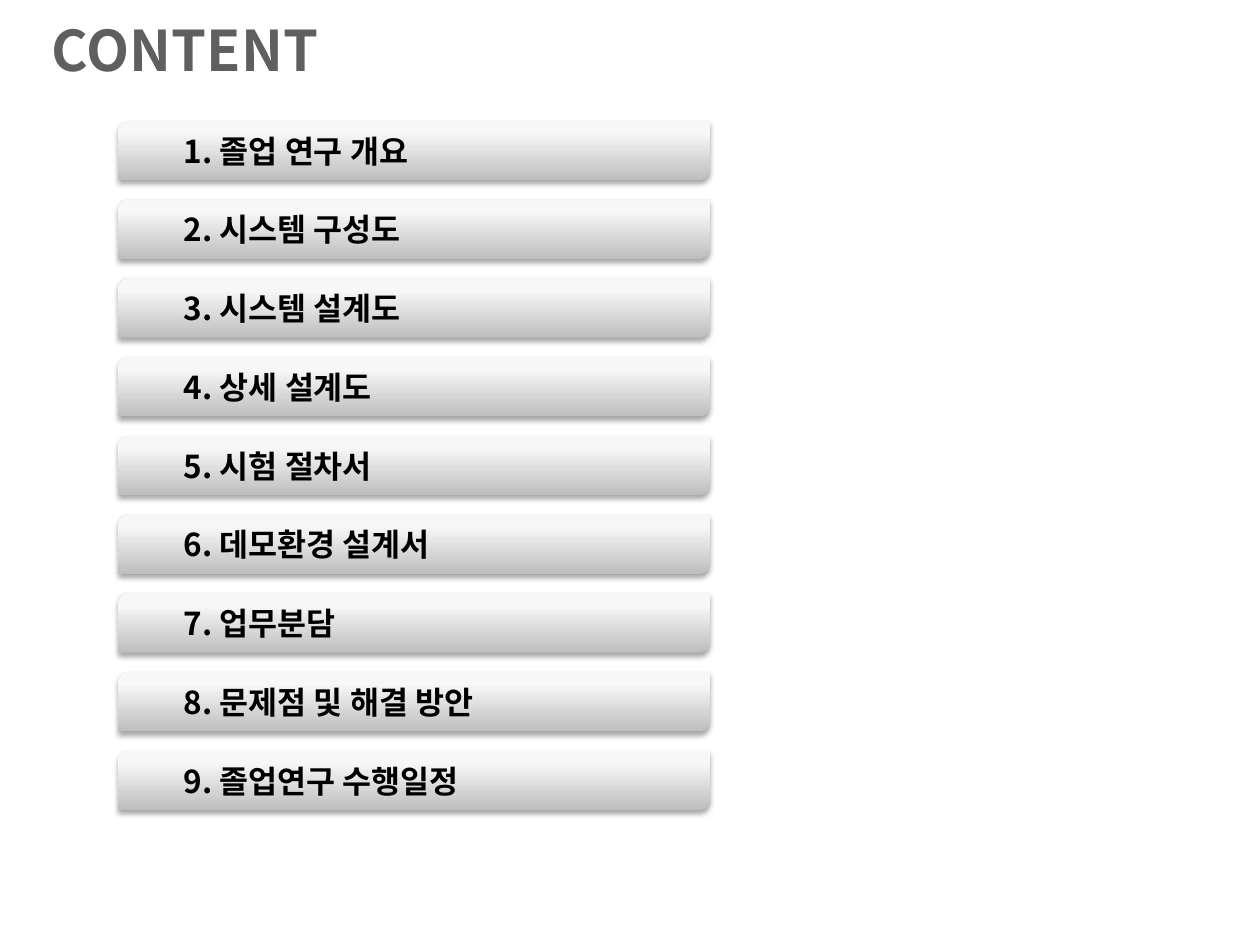
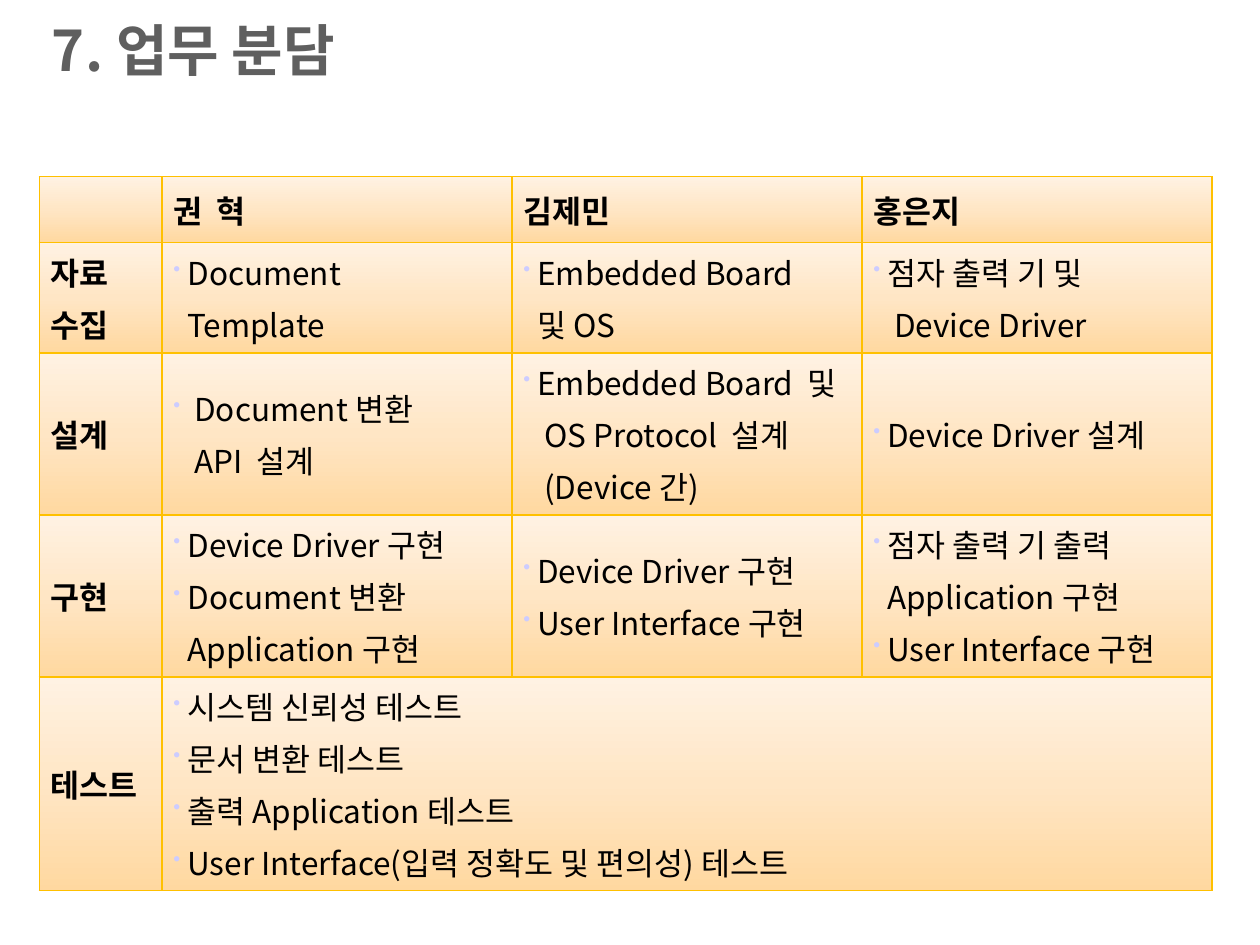
from collections import namedtuple

from lxml import etree
from pptx import Presentation
from pptx.dml.color import RGBColor
from pptx.enum.shapes import MSO_SHAPE
from pptx.enum.text import MSO_ANCHOR, MSO_AUTO_SIZE, PP_ALIGN
from pptx.oxml import parse_xml
from pptx.oxml.ns import nsdecls, qn
from pptx.util import Pt

BAR_SHAPE = MSO_SHAPE.ROUND_2_DIAG_RECTANGLE
MIDDLE = MSO_ANCHOR.MIDDLE
LEFT = PP_ALIGN.LEFT
NO_AUTOFIT = MSO_AUTO_SIZE.NONE

FONT = "Noto Sans CJK KR"
TITLE_GRAY = RGBColor(0x5F, 0x5F, 0x5F)
BLACK = RGBColor(0, 0, 0)
BORDER_GOLD = RGBColor(0xFF, 0xC0, 0x00)
BULLET_LILAC = RGBColor(0xCC, 0xCC, 0xFF)
BAR_STOPS = [(0, RGBColor(0xBE, 0xBE, 0xBE)), (80, RGBColor(0xF7, 0xF7, 0xF7)),
             (100, RGBColor(0xF8, 0xF8, 0xF8))]
CELL_STOPS = [(0, RGBColor(0xFF, 0xD8, 0xA0)), (50, RGBColor(0xFF, 0xE6, 0xC5)),
              (100, RGBColor(0xFF, 0xF2, 0xE3))]

TITLE_FORMAT = {"size": Pt(32), "bold": True, "name": FONT}
HEADING_FORMAT = {"size": Pt(18), "bold": True, "name": FONT}
TASK_FORMAT = {"size": Pt(18), "bold": False, "name": FONT}

TOPICS = ["졸업 연구 개요", "시스템 구성도", "시스템 설계도", "상세 설계도", "시험 절차서",
          "데모환경 설계서", "업무분담", "문제점 및 해결 방안", "졸업연구 수행일정"]
BAR_LEFT, BAR_TOP, BAR_WIDTH, BAR_HEIGHT, BAR_PITCH = 67.5, 69, 338, 34, 45

Line = namedtuple("Line", "text bullet indent form")


def heading(text):
    return Line(text, False, 0, HEADING_FORMAT)


def task(text, indent=8):
    return Line(text, True, indent, TASK_FORMAT)


def more(text, indent=8):
    """A further line of the task above it."""
    return Line(text, False, indent, TASK_FORMAT)


COLUMN_WIDTHS = [70, 200, 200, 200]
ROW_HEIGHTS = [37.7, 62.9, 92.6, 92.6, 121.8]
DUTIES = [
    [[], [heading("권  혁")], [heading("김제민")], [heading("홍은지")]],
    [[heading("자료"), heading("수집")],
     [task("Document"), more("Template")],
     [task("Embedded Board"), more("및 OS")],
     [task("점자 출력 기 및"), more("Device Driver", 12)]],
    [[heading("설계")],
     [task("Document 변환", 12), more("API  설계", 12)],
     [task("Embedded Board  및"), more("OS Protocol  설계", 12), more("(Device 간)", 12)],
     [task("Device Driver 설계")]],
    [[heading("구현")],
     [task("Device Driver 구현"), task("Document 변환"), more("Application 구현")],
     [task("Device Driver 구현"), task("User Interface 구현")],
     [task("점자 출력 기 출력"), more("Application 구현"), task("User Interface 구현")]],
    [[heading("테스트")],
     [task("시스템 신뢰성 테스트"), task("문서 변환 테스트"), task("출력 Application 테스트"),
      task("User Interface(입력 정확도 및 편의성) 테스트")]],
]


def set_values(target, values):
    for name, value in values.items():
        setattr(target, name, value)


def write(paragraph, text, form, color):
    run = paragraph.add_run()
    run.text = text
    set_values(run.font, form)
    run.font.color.rgb = color
    etree.SubElement(run.font._element, qn("a:ea"), typeface=FONT)


def upward_gradient(stops):
    stop_xml = "".join(f'<a:gs pos="{position * 1000}"><a:srgbClr val="{color}"/></a:gs>'
                       for position, color in stops)
    return parse_xml(f'<a:gradFill {nsdecls("a")} rotWithShape="1"><a:gsLst>{stop_xml}</a:gsLst>'
                     '<a:lin ang="16200000" scaled="0"/></a:gradFill>')


def add_titled_slide(deck, text):
    slide = deck.slides.add_slide(deck.slide_layouts[5])
    title = slide.shapes.title
    set_values(title, {"left": Pt(22.5), "top": Pt(0), "width": Pt(697.5), "height": Pt(56.5)})
    set_values(title.text_frame, {"vertical_anchor": MIDDLE, "word_wrap": True,
                                  "auto_size": NO_AUTOFIT})
    paragraph = title.text_frame.paragraphs[0]
    paragraph.alignment = LEFT
    write(paragraph, text, TITLE_FORMAT, TITLE_GRAY)
    return slide


def add_soft_shadow(shape):
    shape.shadow.inherit = False
    effects = shape._element.spPr.find(qn("a:effectLst"))
    effects.append(parse_xml(
        f'<a:outerShdw {nsdecls("a")} blurRad="{Pt(3.1)}" dist="{Pt(1.8)}" dir="5400000" '
        f'rotWithShape="0"><a:srgbClr val="{BLACK}"><a:alpha val="35000"/></a:srgbClr>'
        '</a:outerShdw>'))


def add_topic_bar(slide, top, text):
    bar = slide.shapes.add_shape(BAR_SHAPE, Pt(BAR_LEFT), Pt(top), Pt(BAR_WIDTH), Pt(BAR_HEIGHT))
    bar.line.fill.background()
    bar._element.spPr.find(qn("a:prstGeom")).addnext(upward_gradient(BAR_STOPS))
    add_soft_shadow(bar)
    set_values(bar.text_frame, {"vertical_anchor": MIDDLE, "word_wrap": True,
                                "margin_left": Pt(36)})
    paragraph = bar.text_frame.paragraphs[0]
    paragraph.alignment = LEFT
    write(paragraph, text, HEADING_FORMAT, BLACK)


def indent_line(paragraph, line):
    properties = paragraph._p.get_or_add_pPr()
    properties.set("marL", str(Pt(line.indent)))
    properties.set("indent", str(-Pt(line.indent) if line.bullet else 0))
    if line.bullet:
        color = etree.SubElement(properties, qn("a:buClr"))
        etree.SubElement(color, qn("a:srgbClr"), val=str(BULLET_LILAC))
        etree.SubElement(properties, qn("a:buSzPct"), val="65000")
        etree.SubElement(properties, qn("a:buChar"), char="•")


def style_cell(cell):
    set_values(cell, {"vertical_anchor": MIDDLE, "margin_left": Pt(6.6), "margin_right": Pt(6.6),
                      "margin_top": Pt(3.6), "margin_bottom": Pt(3.6)})
    properties = cell._tc.get_or_add_tcPr()
    for side in ("lnL", "lnR", "lnT", "lnB"):
        properties.append(parse_xml(
            f'<a:{side} {nsdecls("a")} w="{Pt(1)}"><a:solidFill><a:srgbClr val="{BORDER_GOLD}"/>'
            f'</a:solidFill></a:{side}>'))
    properties.append(upward_gradient(CELL_STOPS))


def fill_cell(cell, lines):
    for number, line in enumerate(lines):
        frame = cell.text_frame
        paragraph = frame.add_paragraph() if number else frame.paragraphs[0]
        indent_line(paragraph, line)
        if number:
            paragraph.space_before = Pt(3.6)
        write(paragraph, line.text, line.form, BLACK)


def add_duty_table(slide):
    frame = slide.shapes.add_table(len(ROW_HEIGHTS), len(COLUMN_WIDTHS), Pt(22.5), Pt(101),
                                   Pt(sum(COLUMN_WIDTHS)), Pt(sum(ROW_HEIGHTS)))
    table = frame.table
    set_values(table, {"first_row": False, "horz_banding": False})
    for column, width in zip(table.columns, COLUMN_WIDTHS):
        column.width = Pt(width)
    for row, height in zip(table.rows, ROW_HEIGHTS):
        row.height = Pt(height)
    for cell in table.iter_cells():
        style_cell(cell)
    test_row = len(ROW_HEIGHTS) - 1
    table.cell(test_row, 1).merge(table.cell(test_row, 3))
    for row_index, duties in enumerate(DUTIES):
        for column_index, lines in enumerate(duties):
            fill_cell(table.cell(row_index, column_index), lines)


def main():
    deck = Presentation()
    set_values(deck, {"slide_width": Pt(720), "slide_height": Pt(540)})

    contents = add_titled_slide(deck, "CONTENT")
    for index, topic in enumerate(TOPICS):
        add_topic_bar(contents, BAR_TOP + index * BAR_PITCH, f"{index + 1}. {topic}")

    add_duty_table(add_titled_slide(deck, "7. 업무 분담"))
    deck.save("out.pptx")


if __name__ == "__main__":
    main()
